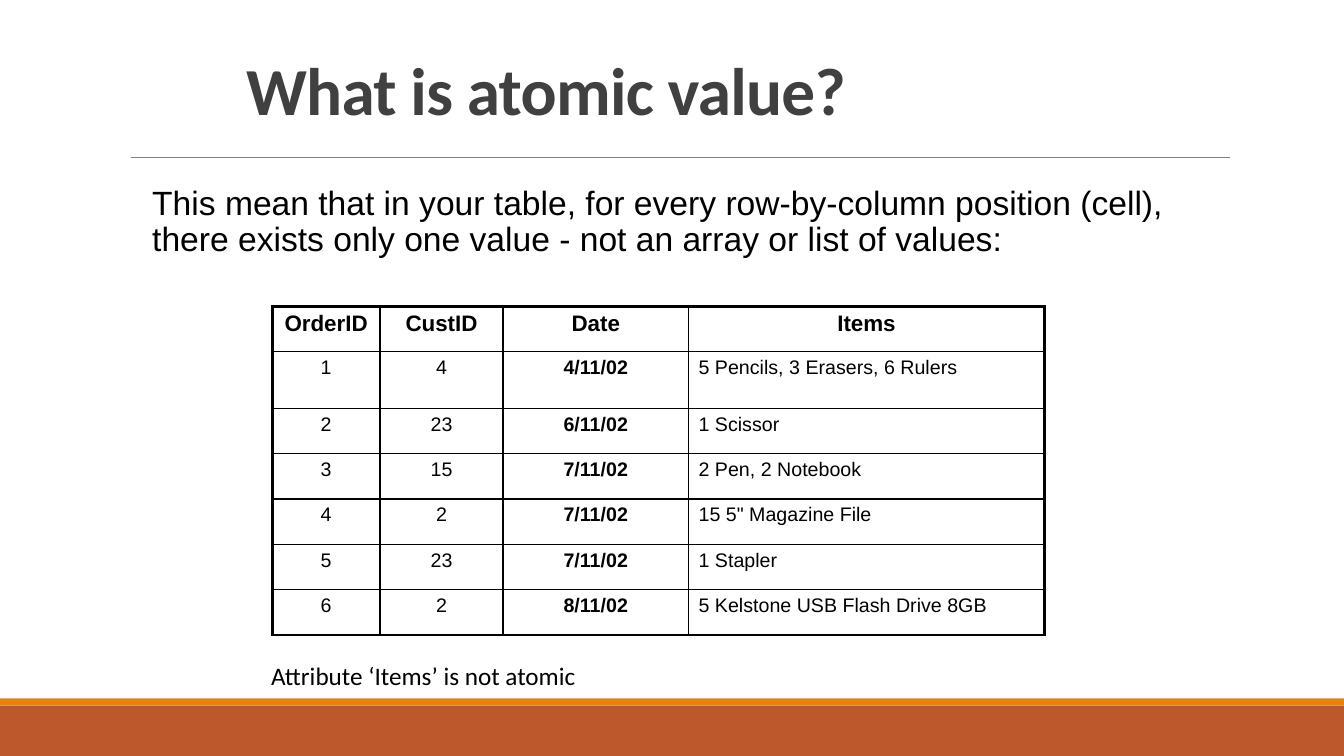
"""Build the slide that explains atomic values with an order table."""
from lxml import etree
from pptx import Presentation
from pptx.dml.color import RGBColor
from pptx.enum.shapes import MSO_CONNECTOR, MSO_SHAPE
from pptx.enum.text import MSO_ANCHOR, MSO_AUTO_SIZE, PP_ALIGN
from pptx.oxml.ns import qn
from pptx.util import Inches, Pt

LEFT, CENTER = PP_ALIGN.LEFT, PP_ALIGN.CENTER
TOP, BOTTOM = MSO_ANCHOR.TOP, MSO_ANCHOR.BOTTOM
NO_AUTOFIT = MSO_AUTO_SIZE.NONE
RECTANGLE = MSO_SHAPE.RECTANGLE
STRAIGHT = MSO_CONNECTOR.STRAIGHT

BLACK = RGBColor(0x00, 0x00, 0x00)
DARK_GRAY = RGBColor(0x40, 0x40, 0x40)
GRAY = RGBColor(0x80, 0x80, 0x80)
RUST = RGBColor(0xBD, 0x58, 0x2C)
ORANGE = RGBColor(0xE4, 0x83, 0x12)

TITLE = "What is atomic value?"
DEFINITION = ("This mean that in your table, for every row-by-column position (cell), "
              "there exists only one value - not an array or list of values:")
CAPTION = "Attribute ‘Items’ is not atomic"
ORDERS = [
    ("OrderID", "CustID", "Date", "Items"),
    ("1", "4", "4/11/02", "5 Pencils, 3 Erasers, 6 Rulers"),
    ("2", "23", "6/11/02", "1 Scissor"),
    ("3", "15", "7/11/02", "2 Pen, 2 Notebook"),
    ("4", "2", "7/11/02", "15 5\" Magazine File"),
    ("5", "23", "7/11/02", "1 Stapler"),
    ("6", "2", "8/11/02", "5 Kelstone USB Flash Drive 8GB"),
]
DATE, ITEMS = 2, 3
COLUMN_WIDTHS = (1.07, 1.22, 1.84, 3.53)
ROW_HEIGHTS = (0.45, 0.56) + (0.45,) * 5
FOOTER_BANDS = [(7, 0.5, RUST), (6.93, 0.07, ORANGE)]
THIN, THICK = 1, 2.25


def place(shape, left, top, width, height):
    shape.left, shape.top = Inches(left), Inches(top)
    shape.width, shape.height = Inches(width), Inches(height)


def add_text(paragraph, text, font_name, size, color=BLACK, bold=False):
    run = paragraph.add_run()
    run.text = text
    run.font.name, run.font.size, run.font.bold = font_name, Pt(size), bold
    run.font.color.rgb = color
    return run


def add_border(cell, side, width):
    line = etree.SubElement(cell._tc.get_or_add_tcPr(), qn(f"a:ln{side}"), w=str(Pt(width)))
    fill = etree.SubElement(line, qn("a:solidFill"))
    etree.SubElement(fill, qn("a:srgbClr"), val=str(BLACK))


def add_frame(slide):
    for top, height, color in FOOTER_BANDS:
        band = slide.shapes.add_shape(
            RECTANGLE, 0, Inches(top), Inches(13.33), Inches(height))
        band.shadow.inherit = False
        band.fill.solid()
        band.fill.fore_color.rgb = color
        band.line.fill.background()
    rule = slide.shapes.add_connector(
        STRAIGHT, Inches(1.3), Inches(1.56), Inches(12.2), Inches(1.56))
    rule.line.color.rgb = GRAY
    rule.line.width = Pt(0.5)
    etree.SubElement(rule._element.spPr, qn("a:effectLst"))


def fill_title(title):
    place(title, 2.34, 0.25, 8.92, 1.08)
    frame = title.text_frame
    frame.auto_size, frame.vertical_anchor = NO_AUTOFIT, BOTTOM
    heading = frame.paragraphs[0]
    heading.alignment, heading.line_spacing = LEFT, 0.85
    run = add_text(heading, TITLE, "Calibri", 48, DARK_GRAY, True)
    run.font._element.set("spc", "-50")


def fill_definition(body):
    place(body, 1.41, 1.8, 10.24, 1.54)
    frame = body.text_frame
    frame.auto_size, frame.vertical_anchor = NO_AUTOFIT, TOP
    frame.margin_left = frame.margin_right = 0
    definition = frame.paragraphs[0]
    definition.line_spacing = 0.9
    definition.space_before, definition.space_after = Pt(12), Pt(2)
    properties = definition._p.get_or_add_pPr()
    properties.set("marL", str(Inches(0.1)))
    properties.set("indent", str(Inches(-0.1)))
    etree.SubElement(properties, qn("a:buChar"), char=" ")
    add_text(definition, DEFINITION, "Arial", 24)


def add_orders(slide):
    last_row, last_column = len(ORDERS) - 1, len(COLUMN_WIDTHS) - 1
    table = slide.shapes.add_table(
        len(ORDERS), len(COLUMN_WIDTHS), Inches(2.7), Inches(3.04),
        Inches(sum(COLUMN_WIDTHS)), Inches(sum(ROW_HEIGHTS))).table
    table.first_row = table.horz_banding = False
    for column, width in zip(table.columns, COLUMN_WIDTHS):
        column.width = Inches(width)
    for row, height in zip(table.rows, ROW_HEIGHTS):
        row.height = Inches(height)
    for r, order in enumerate(ORDERS):
        header = r == 0
        size = 16 if header else 14
        for c, value in enumerate(order):
            cell = table.cell(r, c)
            outer_sides = {"L": c == 0, "R": c == last_column,
                           "T": header, "B": r == last_row}
            for side, outer in outer_sides.items():
                add_border(cell, side, THICK if outer else THIN)
            cell.fill.background()
            entry = cell.text_frame.paragraphs[0]
            entry.alignment = LEFT if c == ITEMS and not header else CENTER
            entry.space_before = Pt(size * 0.2)
            add_text(entry, value, "Arial", size, bold=header or c == DATE)


def add_caption(slide):
    caption = slide.shapes.add_textbox(Inches(2.59), Inches(6.5), Inches(4.34), Inches(0.4))
    caption.text_frame.word_wrap = True
    add_text(caption.text_frame.paragraphs[0], CAPTION, "Calibri", 18)


def main():
    presentation = Presentation()
    presentation.slide_width, presentation.slide_height = Inches(13.33), Inches(7.5)
    slide = presentation.slides.add_slide(presentation.slide_layouts[1])
    add_frame(slide)
    fill_title(slide.shapes.title)
    fill_definition(slide.placeholders[1])
    add_orders(slide)
    add_caption(slide)
    presentation.save("out.pptx")


if __name__ == "__main__":
    main()
